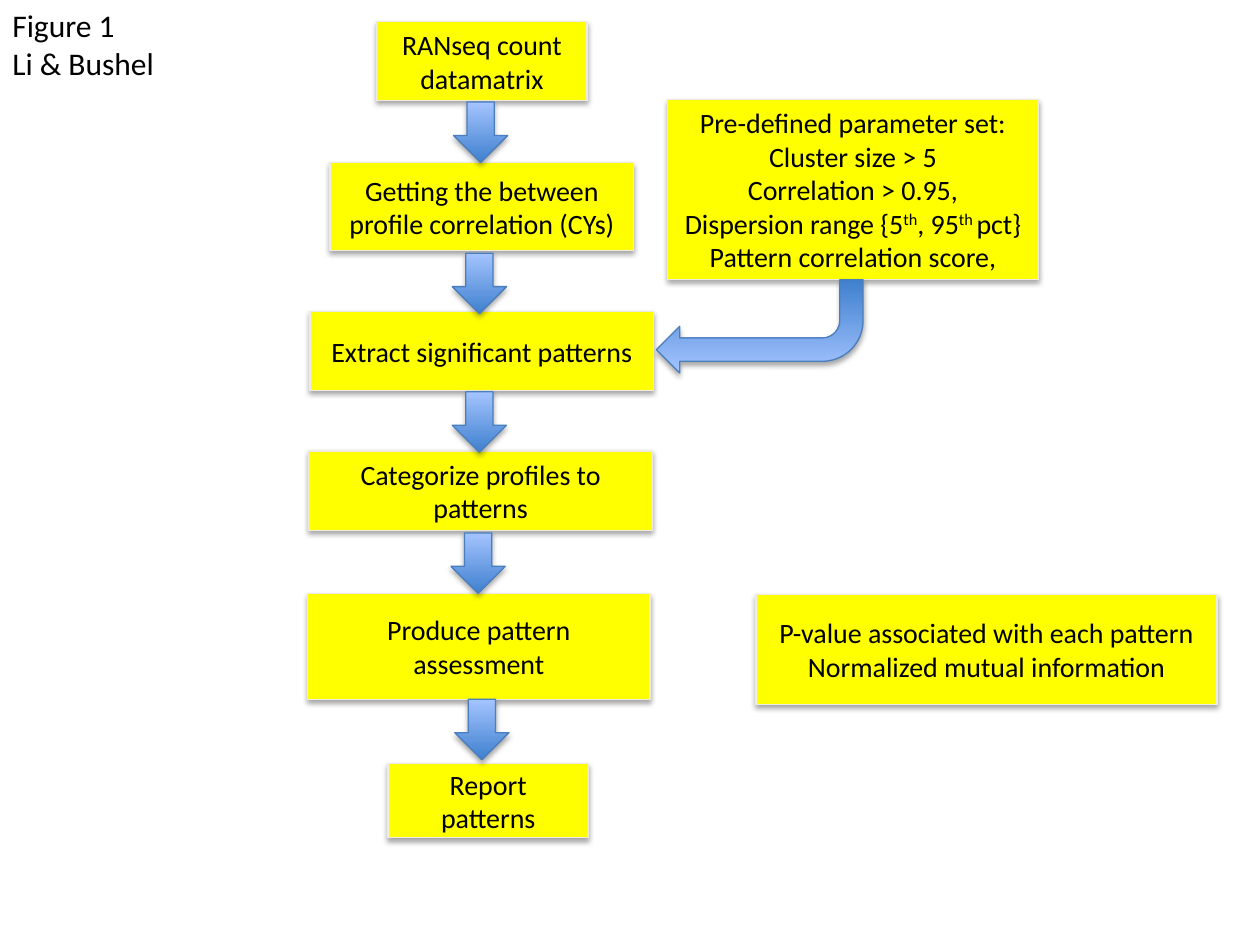
from lxml import etree
from pptx import Presentation
from pptx import util as u
from pptx.dml.color import RGBColor
from pptx.enum import shapes, text
from pptx.oxml.ns import qn

COLORS = {
    "box": "FFFF00", "box_line": "EEECE1", "text": "000000",
    "arrow_dark": "3F80CE", "arrow_light": "A4C4FF", "arrow_line": "4B7EBC",
}
FONT = "Calibri"
CELL = u.Inches(0.1)  # the slide is a grid of 100 columns and 75 rows
COLUMNS, ROWS = 100, 75
ARROW_WIDTH, ARROW_HEIGHT = 4.3, 4.8

# Each box: left, top, width, height in cells, then its paragraphs of runs.
STEPS = [
    (29.9, 1.7, 16.7, 6.3, [["RANseq count datamatrix"]]),
    (26.2, 12.9, 24.1, 7, [["Getting the between profile correlation (CYs)"]]),
    (24.6, 24.7, 27.3, 6.3, [["Extract significant patterns"]]),
    (24.5, 35.8, 27.3, 6.3, [["Categorize profiles to patterns"]]),
    (24.4, 47.1, 27.2, 8.4, [["Produce pattern assessment"]]),
    (30.8, 60.6, 15.9, 5.9, [["Report patterns"]]),
]
SIDE_BOXES = [
    (53, 7.9, 29.4, 14.3, [
        ["Pre-defined parameter set:"],
        ["Cluster size > 5"],
        ["Correlation > 0.95,"],
        ["Dispersion range {5", "^th", ", 95", "^th ", "pct}"],
        ["Pattern correlation score,"],
    ]),
    (60, 47.2, 36.6, 8.7, [
        ["P-value associated with each pattern"],
        ["Normalized mutual information"],
    ]),
]
DOWN_ARROWS = [(36, 8.1), (35.9, 20.1), (35.9, 31.1), (35.8, 42.3), (36.1, 55.5)]


def rgb(name):
    return RGBColor.from_string(COLORS[name])


def cells(*lengths):
    return [round(length * CELL) for length in lengths]


def add_soft_shadow(shape):
    shape.shadow.inherit = False
    effects = shape._element.spPr.find(qn("a:effectLst"))
    shadow = etree.SubElement(effects, qn("a:outerShdw"), blurRad="40000",
                              dist="23000", dir="5400000", rotWithShape="0")
    color = etree.SubElement(shadow, qn("a:srgbClr"), val="000000")
    etree.SubElement(color, qn("a:alpha"), val="35000")


def add_outlined(slide, kind, place, line):
    shape = slide.shapes.add_shape(kind, *cells(*place))
    shape.line.color.rgb = rgb(line)
    shape.line.width = u.Pt(0.75)
    add_soft_shadow(shape)
    return shape


def write(frame, paragraphs, size, alignment):
    """Fill a text frame; a run that starts with ^ is raised."""
    for index, runs in enumerate(paragraphs):
        paragraph = frame.add_paragraph() if index else frame.paragraphs[0]
        paragraph.alignment = alignment
        for words in runs:
            run = paragraph.add_run()
            run.text = words.removeprefix("^")
            run.font.name = FONT
            run.font.size = u.Pt(size)
            run.font.color.rgb = rgb("text")
            if words.startswith("^"):
                run.font._element.set("baseline", "30000")


def add_box(slide, left, top, width, height, paragraphs):
    box = add_outlined(slide, shapes.MSO_SHAPE.RECTANGLE,
                       (left, top, width, height), "box_line")
    box.fill.solid()
    box.fill.fore_color.rgb = rgb("box")
    box.text_frame.word_wrap = True
    box.text_frame.vertical_anchor = text.MSO_ANCHOR.MIDDLE
    write(box.text_frame, paragraphs, 16, text.PP_ALIGN.CENTER)


def add_arrow(slide, kind, *place):
    arrow = add_outlined(slide, kind, place, "arrow_line")
    arrow.fill.gradient()
    arrow.fill.gradient_angle = 90
    for stop, name in zip(arrow.fill.gradient_stops, ("arrow_dark", "arrow_light")):
        stop.color.rgb = rgb(name)
    return arrow


def add_figure_label(slide):
    label = slide.shapes.add_textbox(*cells(0, 0, 13.4, 7.1))
    label.text_frame.word_wrap = False
    label.text_frame.auto_size = text.MSO_AUTO_SIZE.SHAPE_TO_FIT_TEXT
    write(label.text_frame, [["Figure 1"], ["Li & Bushel"]], 18, text.PP_ALIGN.LEFT)


def main():
    presentation = Presentation()
    presentation.slide_width, presentation.slide_height = cells(COLUMNS, ROWS)
    slide = presentation.slides.add_slide(presentation.slide_layouts.get_by_name("Blank"))
    for box in STEPS + SIDE_BOXES:
        add_box(slide, *box)
    for left, top in DOWN_ARROWS:
        add_arrow(slide, shapes.MSO_SHAPE.DOWN_ARROW, left, top, ARROW_WIDTH, ARROW_HEIGHT)
    parameter_arrow = add_arrow(slide, shapes.MSO_SHAPE.BENT_ARROW, 52.1, 22.2, 16.4, 7.4)
    parameter_arrow.rotation = 180
    add_figure_label(slide)
    presentation.save("out.pptx")


if __name__ == "__main__":
    main()
